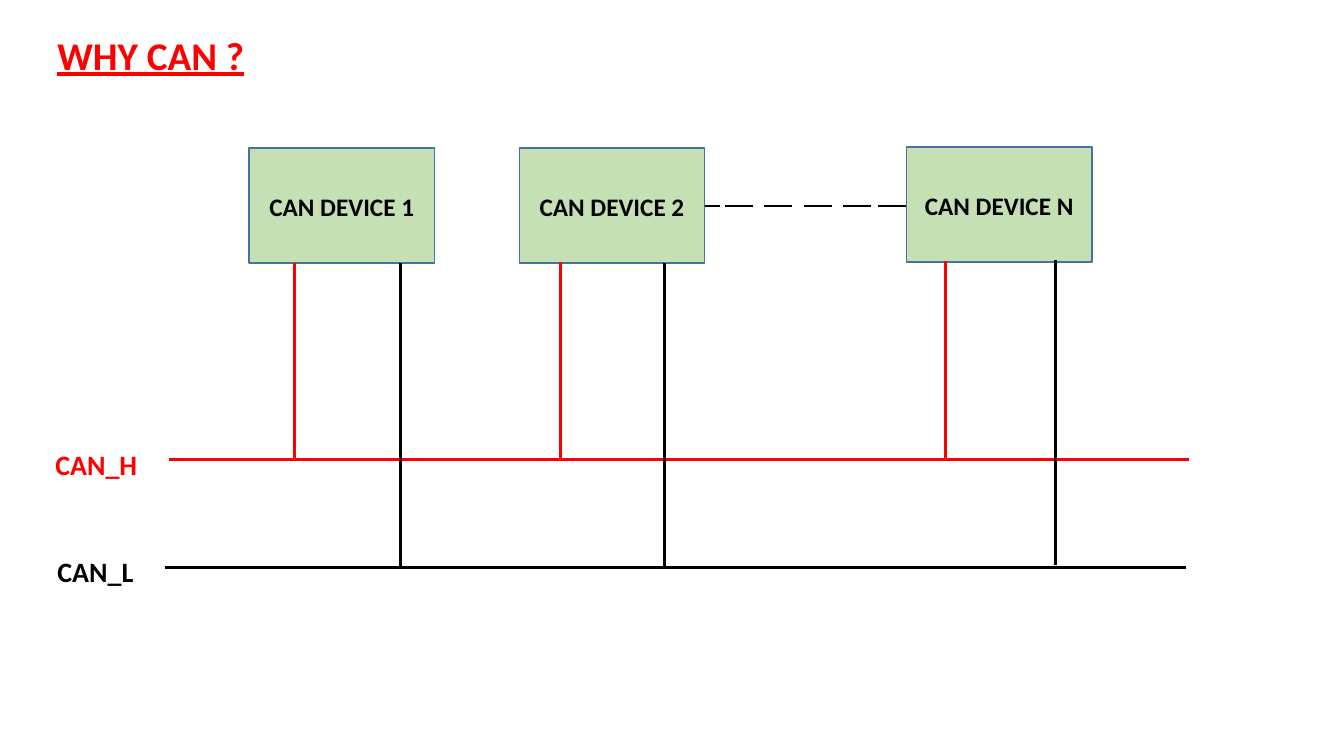
from dataclasses import dataclass
from typing import Any

from lxml import etree
from pptx import Presentation
from pptx import util as u
from pptx.dml.color import RGBColor
from pptx.enum import shapes, text
from pptx.oxml.ns import qn


@dataclass(frozen=True)
class Theme:
    font: str = "Calibri"
    high: str = "FF0000"
    low: str = "000000"
    device_fill: str = "C5E0B4"
    device_line: str = "43739E"
    title_size: int = 28
    label_size: int = 20
    device_size: int = 18
    device_line_width: float = 1
    wire_width: float = 2.25
    dash_width: float = 1.5


@dataclass(frozen=True)
class Device:
    name: str
    left: float
    top: float
    high_x: float
    high_top: float
    low_x: float
    low_top: float


@dataclass(frozen=True)
class Bus:
    name: str
    color: str
    start: float
    end: float
    y: float
    label_left: float
    label_top: float


THEME = Theme()
DEVICE_WIDTH, DEVICE_HEIGHT = 1.84, 1.14
HIGH_DROP, LOW_DROP = 1.96, 3.03
DASH_Y, DASH_LENGTH, DASH_STEP = 2.04, 0.28, 0.39

DEVICES = [
    Device("CAN DEVICE 1", 2.47, 1.47, 2.92, 2.61, 3.97, 2.61),
    Device("CAN DEVICE 2", 5.15, 1.47, 5.56, 2.60, 6.59, 2.61),
    Device("CAN DEVICE N", 8.99, 1.46, 9.38, 2.59, 10.47, 2.58),
]
BUSES = [
    Bus("CAN_L", THEME.low, 1.64, 11.76, 5.63, 0.47, 5.43),
    Bus("CAN_H", THEME.high, 1.68, 11.79, 4.56, 0.45, 4.37),
]
DASHES = [
    (6.99, 7.14),
    *[(7.19 + DASH_STEP * i, 7.19 + DASH_STEP * i + DASH_LENGTH) for i in range(4)],
    (8.71, 8.99),
]


def apply(target: Any, values: dict[str, Any]) -> None:
    for name, value in values.items():
        setattr(target, name, value)


def write(shape: Any, wording: str, size: int, color: str,
          frame_format: dict[str, Any], paragraph_format: dict[str, Any],
          underline: bool = False) -> None:
    frame = shape.text_frame
    apply(frame, {"word_wrap": True, "auto_size": text.MSO_AUTO_SIZE.NONE, **frame_format})
    paragraph = frame.paragraphs[0]
    apply(paragraph, paragraph_format)
    run = paragraph.add_run()
    run.text = wording
    apply(run.font, {"name": THEME.font, "size": u.Pt(size), "bold": True,
                     "underline": underline})
    run.font.color.rgb = RGBColor.from_string(color)


def add_wire(slide: Any, x1: float, y1: float, x2: float, y2: float,
             color: str, width: float = THEME.wire_width) -> None:
    wire = slide.shapes.add_connector(
        shapes.MSO_CONNECTOR.STRAIGHT,
        u.Inches(x1), u.Inches(y1), u.Inches(x2), u.Inches(y2))
    wire.line.color.rgb = RGBColor.from_string(color)
    wire.line.width = u.Pt(width)
    etree.SubElement(wire._element.spPr, qn("a:effectLst"))


def add_title(slide: Any, wording: str) -> None:
    title = slide.shapes.title
    apply(title, {"left": u.Inches(0.47), "top": u.Inches(0.26),
                  "width": u.Inches(6.67), "height": u.Inches(0.57)})
    write(title, wording, THEME.title_size, THEME.high,
          {"vertical_anchor": text.MSO_ANCHOR.TOP},
          {"alignment": text.PP_ALIGN.LEFT}, underline=True)


def add_bus(slide: Any, bus: Bus) -> None:
    add_wire(slide, bus.start, bus.y, bus.end, bus.y, bus.color)
    label = slide.shapes.add_textbox(
        u.Inches(bus.label_left), u.Inches(bus.label_top), u.Inches(1.14), u.Inches(0.39))
    write(label, bus.name, THEME.label_size, bus.color,
          {"vertical_anchor": text.MSO_ANCHOR.TOP},
          {"line_spacing": 1.07, "space_after": u.Pt(8)})


def add_device(slide: Any, device: Device) -> None:
    box = slide.shapes.add_shape(
        shapes.MSO_SHAPE.RECTANGLE, u.Inches(device.left), u.Inches(device.top),
        u.Inches(DEVICE_WIDTH), u.Inches(DEVICE_HEIGHT))
    box.shadow.inherit = False
    box.fill.solid()
    box.fill.fore_color.rgb = RGBColor.from_string(THEME.device_fill)
    box.line.color.rgb = RGBColor.from_string(THEME.device_line)
    box.line.width = u.Pt(THEME.device_line_width)
    write(box, device.name, THEME.device_size, THEME.low,
          {"vertical_anchor": text.MSO_ANCHOR.MIDDLE},
          {"alignment": text.PP_ALIGN.CENTER, "line_spacing": 1.07, "space_after": u.Pt(8)})
    add_wire(slide, device.high_x, device.high_top,
             device.high_x, device.high_top + HIGH_DROP, THEME.high)
    add_wire(slide, device.low_x, device.low_top,
             device.low_x, device.low_top + LOW_DROP, THEME.low)


def main() -> None:
    presentation = Presentation()
    apply(presentation, {"slide_width": u.Inches(13.33), "slide_height": u.Inches(7.5)})
    slide = presentation.slides.add_slide(presentation.slide_layouts.get_by_name("Title Only"))
    add_title(slide, "WHY CAN ?")
    for bus in BUSES:
        add_bus(slide, bus)
    for device in DEVICES:
        add_device(slide, device)
    for start, end in DASHES:
        add_wire(slide, start, DASH_Y, end, DASH_Y, THEME.low, THEME.dash_width)
    presentation.save("out.pptx")


if __name__ == "__main__":
    main()
